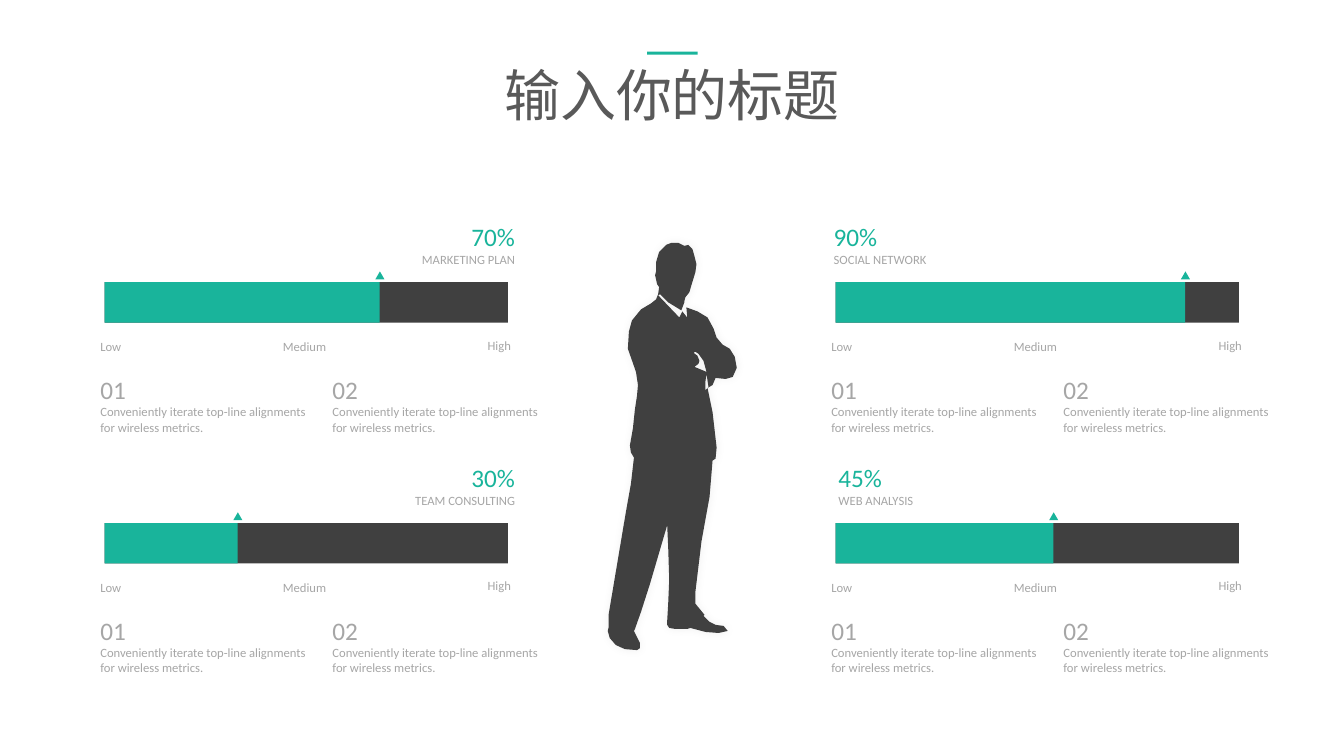
"""Build a slide of four skill gauges around a standing businessman."""
from dataclasses import dataclass

import lxml.etree
import pptx
import pptx.dml.color
import pptx.enum.shapes
import pptx.enum.text
import pptx.oxml.ns
import pptx.shapes.autoshape
import pptx.slide
import pptx.util

Cm = pptx.util.Cm
PRESET = pptx.enum.shapes.MSO_SHAPE
ALIGN = pptx.enum.text.PP_ALIGN
COLORS = {
    "accent": "19B49B",
    "dark": "404040",
    "muted": "A6A6A6",
    "title": "595959",
    "shadow": "000000",
    "background": "FFFFFF",
}


@dataclass(frozen=True)
class Box:
    """Position and size in centimetres."""
    left: float
    top: float
    width: float
    height: float

    def lengths(self) -> tuple[int, int, int, int]:
        """Return the four lengths for python-pptx."""
        return Cm(self.left), Cm(self.top), Cm(self.width), Cm(self.height)


@dataclass(frozen=True)
class Gauge:
    """One skill bar with its caption."""
    skill: str
    percent: str
    left: float
    top: float
    filled: float
    caption_shift: float
    caption_width: float
    align: ALIGN


LEFT, RIGHT = 2.64, 21.06
UPPER, LOWER = 7.11, 13.18
BAR_WIDTH, BAR_HEIGHT = 10.16, 1.02
GAUGES = [
    Gauge("MARKETING PLAN", "70%", LEFT, UPPER, 6.93, 7.72, 2.87, ALIGN.RIGHT),
    Gauge("TEAM CONSULTING", "30%", LEFT, LOWER, 3.35, 7.52, 3.07, ALIGN.RIGHT),
    Gauge("SOCIAL NETWORK", "90%", RIGHT, UPPER, 8.81, -0.3, 2.87, ALIGN.LEFT),
    Gauge("WEB ANALYSIS", "45%", RIGHT, LOWER, 5.49, -0.18, 2.44, ALIGN.LEFT),
]
SCALE_LABELS = [
    ("Low", Box(-0.36, 1.3, 1.04, 0.64)),
    ("Medium", Box(4.24, 1.3, 1.65, 0.64)),
    ("High", Box(9.4, 1.27, 1.12, 0.64)),
]
NOTE = "Conveniently iterate top-line alignments for wireless metrics."
NOTE_SHIFTS = {"01": -0.36, "02": 5.49}

OUTLINE_UNIT = Cm(0.0254)
BODY = [
    (729, 354), (724, 346), (717, 342), (711, 335), (708, 326), (702, 315),
    (692, 309), (681, 305), (682, 316), (681, 314), (677, 309), (674, 315),
    (653, 293), (655, 292), (663, 300), (676, 308), (679, 300), (679, 299),
    (680, 295), (684, 290), (686, 283), (690, 270), (691, 262), (689, 254),
    (687, 247), (683, 243), (679, 244), (673, 241), (666, 241), (661, 243),
    (656, 248), (654, 250), (651, 260), (651, 269), (650, 273), (652, 282),
    (654, 285), (653, 292), (651, 297), (646, 301), (636, 307), (627, 318),
    (624, 329), (623, 346), (631, 369), (633, 382), (632, 393), (630, 406),
    (628, 425), (625, 442), (626, 449), (629, 454), (626, 480), (621, 508),
    (604, 609), (604, 622), (603, 626), (605, 633), (611, 640), (620, 644),
    (632, 645), (635, 643), (635, 638), (629, 626), (630, 624), (636, 607),
    (645, 579), (662, 521), (663, 543), (664, 575), (663, 599), (662, 616),
    (662, 620), (664, 623), (670, 624), (682, 624), (685, 623), (700, 627),
    (713, 628), (722, 626), (718, 621), (710, 620), (704, 617), (698, 611),
    (699, 610), (690, 599), (690, 587), (696, 537), (704, 493), (707, 457),
    (710, 455), (711, 444), (707, 409), (702, 385), (707, 382), (710, 375),
    (720, 376), (727, 374), (731, 365),
]
HAND_GAP = [
    (689, 364), (693, 361), (694, 358), (692, 353), (688, 350), (690, 349),
    (693, 351), (698, 358), (701, 369),
]
SLEEVE_GAP = [(700, 387), (700, 378), (701, 371), (703, 384)]


def rgb(name: str) -> pptx.dml.color.RGBColor:
    """Look up a palette colour."""
    return pptx.dml.color.RGBColor.from_string(COLORS[name])


def paint(shape: pptx.shapes.autoshape.Shape, color: str) -> None:
    """Give a shape a flat fill without line or shadow."""
    shape.fill.solid()
    shape.fill.fore_color.rgb = rgb(color)
    shape.line.fill.background()
    shape.shadow.inherit = False


def add_block(slide: pptx.slide.Slide, box: Box, color: str,
              preset: PRESET = PRESET.RECTANGLE) -> None:
    """Add a flat preset shape."""
    paint(slide.shapes.add_shape(preset, *box.lengths()), color)


def add_text(slide: pptx.slide.Slide, text: str, box: Box, *, size: float = 9,
             color: str = "muted", font: str = "Calibri",
             align: ALIGN = ALIGN.LEFT, wrap: bool = False,
             heading: str = "", heading_color: str = "muted") -> None:
    """Add text, with an optional larger heading line above it."""
    frame = slide.shapes.add_textbox(*box.lengths()).text_frame
    frame.word_wrap = wrap
    frame.auto_size = pptx.enum.text.MSO_AUTO_SIZE.SHAPE_TO_FIT_TEXT
    lines = [(heading, 18, heading_color)] if heading else []
    lines.append((text, size, color))
    for index, (words, points, tint) in enumerate(lines):
        paragraph = frame.add_paragraph() if index else frame.paragraphs[0]
        paragraph.alignment = align
        run = paragraph.add_run()
        run.text = words
        run.font.name = font
        run.font.size = pptx.util.Pt(points)
        run.font.color.rgb = rgb(tint)


def add_gauge(slide: pptx.slide.Slide, gauge: Gauge) -> None:
    """Add a bar with its pointer, scale, caption and two notes."""
    left, top = gauge.left, gauge.top
    add_block(slide, Box(left, top, BAR_WIDTH, BAR_HEIGHT), "dark")
    add_block(slide, Box(left, top, gauge.filled, BAR_HEIGHT), "accent")
    add_block(slide, Box(left + gauge.filled - 0.11, top - 0.27, 0.23, 0.2),
              "accent", PRESET.ISOSCELES_TRIANGLE)
    for label, spot in SCALE_LABELS:
        add_text(slide, label,
                 Box(left + spot.left, top + spot.top, spot.width, spot.height))
    add_text(slide, gauge.skill,
             Box(left + gauge.caption_shift, top - 1.65, gauge.caption_width, 1.42),
             align=gauge.align, heading=gauge.percent, heading_color="accent")
    for number, shift in NOTE_SHIFTS.items():
        add_text(slide, NOTE, Box(left + shift, top + 2.19, 5.92, 1.8),
                 wrap=True, heading=number)


def add_businessman(slide: pptx.slide.Slide) -> None:
    """Add the standing figure with a faint glow-like shadow."""
    outline = slide.shapes.build_freeform(*BODY[0], scale=OUTLINE_UNIT)
    outline.add_line_segments(BODY[1:])
    for gap in (HAND_GAP, SLEEVE_GAP):
        outline.move_to(*gap[0])
        outline.add_line_segments(gap[1:])
    businessman = outline.convert_to_shape()
    paint(businessman, "dark")
    qn = pptx.oxml.ns.qn
    effects = businessman._element.spPr.find(qn("a:effectLst"))
    shadow = lxml.etree.SubElement(
        effects, qn("a:outerShdw"), blurRad=str(pptx.util.Pt(6)), dist="0",
        dir="13500000", algn="ctr", rotWithShape="0")
    tint = lxml.etree.SubElement(shadow, qn("a:srgbClr"), val=COLORS["shadow"])
    lxml.etree.SubElement(tint, qn("a:alpha"), val="6000")


def main() -> None:
    """Compose and save the slide."""
    deck = pptx.Presentation()
    deck.slide_width, deck.slide_height = Cm(33.87), Cm(19.05)
    slide = deck.slides.add_slide(deck.slide_layouts[6])
    slide.background.fill.solid()
    slide.background.fill.fore_color.rgb = rgb("background")
    for gauge in GAUGES:
        add_gauge(slide, gauge)
    add_businessman(slide)
    add_text(slide, "输入你的标题", Box(12.4, 1.4, 9.07, 1.96), size=40,
             color="title", font="Lato", align=ALIGN.CENTER)
    add_block(slide, Box(16.31, 1.3, 1.27, 0.08), "accent")
    deck.save("out.pptx")


main()
